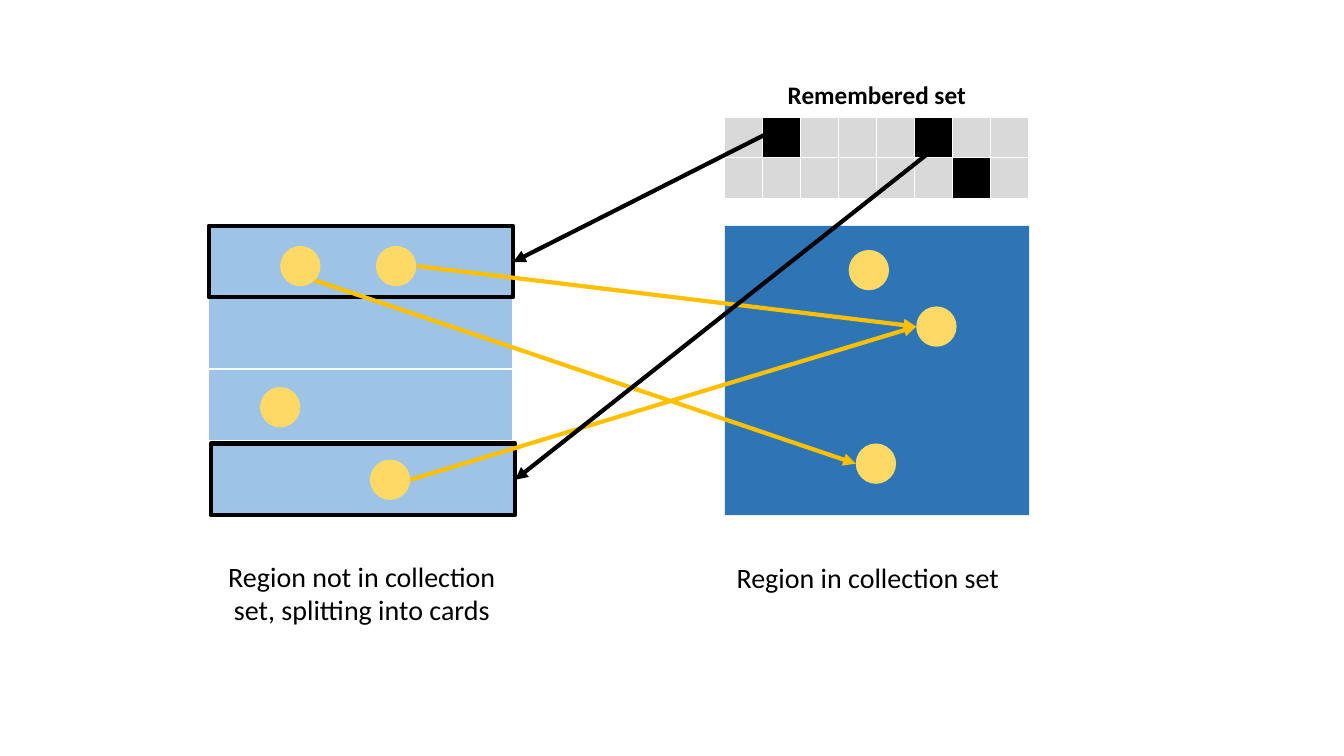
from typing import NamedTuple, Optional

from lxml import etree
from pptx import Presentation
from pptx import util as u
from pptx.dml.color import RGBColor
from pptx.enum import shapes, text
from pptx.oxml import ns

Pt = u.Pt
BLACK = RGBColor(0x00, 0x00, 0x00)
WHITE = RGBColor(0xFF, 0xFF, 0xFF)
GREY = RGBColor(0xD9, 0xD9, 0xD9)
REGION_BLUE = RGBColor(0x2E, 0x75, 0xB6)
CARD_BLUE = RGBColor(0x9D, 0xC3, 0xE6)
OBJECT_YELLOW = RGBColor(0xFF, 0xD9, 0x66)
REFERENCE_GOLD = RGBColor(0xFF, 0xC0, 0x00)

RECT = shapes.MSO_SHAPE.RECTANGLE
OVAL = shapes.MSO_SHAPE.OVAL
REGION_W, REGION_TOP, REGION_LEFT = 217.44, 161.28, 517.68
CARD_LEFT, CARD_H = 149.04, 51.12
OBJECT_D = 28.8
SET_COLS, SET_ROWS, SET_ROW_H = 8, 3, 26
MARKED = {(1, 1), (1, 5), (2, 6)}


class Block(NamedTuple):
    left: float
    top: float
    width: float
    height: float
    fill: RGBColor
    line: Optional[RGBColor] = None
    weight: float = 1
    kind: int = RECT


class Arrow(NamedTuple):
    x1: float
    y1: float
    x2: float
    y2: float
    color: RGBColor


class Caption(NamedTuple):
    left: float
    top: float
    height: float
    words: str


def card(row: int, line: RGBColor, weight: float) -> Block:
    return Block(CARD_LEFT, REGION_TOP + row * CARD_H, REGION_W, CARD_H, CARD_BLUE, line, weight)


def heap_object(left: float, top: float) -> Block:
    return Block(left, top, OBJECT_D, OBJECT_D, OBJECT_YELLOW, kind=OVAL)


REGIONS = [
    Block(REGION_LEFT, REGION_TOP, REGION_W, 206.64, REGION_BLUE),
    card(1, WHITE, 1),
    card(0, BLACK, 3),
    card(2, WHITE, 1),
]
LAST_CARD = Block(150.48, 316.8, REGION_W, CARD_H, CARD_BLUE, BLACK, 3)
OBJECTS = [
    heap_object(654.48, 218.88),
    heap_object(611.28, 316.8),
    heap_object(606.24, 178.56),
    heap_object(185.76, 276.48),
    heap_object(264.24, 328.32),
]
FIRST_CARD_OBJECTS = [heap_object(200.16, 175.68), heap_object(268.56, 175.68)]
ARROWS = [
    Arrow(293.04, 342.72, 654.48, 233.28, REFERENCE_GOLD),
    Arrow(224.64, 200.16, 611.28, 331.2, REFERENCE_GOLD),
    Arrow(298.08, 190.08, 654.48, 233.28, REFERENCE_GOLD),
    Arrow(555.84, 91.44, 366.48, 187.2, BLACK),
    Arrow(673.2, 101.52, 367.92, 342.72, BLACK),
]
CAPTIONS = [
    Caption(150.48, 396, 55.44, "Region not in collection set, splitting into cards"),
    Caption(511.92, 396.72, 31.68, "Region in collection set"),
]


def write(tf, words: str, *, size: float, bold: bool = False) -> None:
    p = tf.paragraphs[0]
    p.alignment = text.PP_ALIGN.CENTER
    r = p.add_run()
    r.text = words
    r.font.name = "Calibri"
    r.font.size = Pt(size)
    r.font.bold = bold
    r.font.color.rgb = BLACK


def draw_blocks(s, blocks: list[Block]) -> None:
    for b in blocks:
        sp = s.shapes.add_shape(b.kind, Pt(b.left), Pt(b.top), Pt(b.width), Pt(b.height))
        sp.shadow.inherit = False
        sp.fill.solid()
        sp.fill.fore_color.rgb = b.fill
        if b.line is None:
            sp.line.fill.background()
        else:
            sp.line.color.rgb = b.line
            sp.line.width = Pt(b.weight)


def draw_arrow(s, a: Arrow) -> None:
    cx = s.shapes.add_connector(
        shapes.MSO_CONNECTOR.STRAIGHT, Pt(a.x1), Pt(a.y1), Pt(a.x2), Pt(a.y2))
    cx.line.color.rgb = a.color
    cx.line.width = Pt(3)
    etree.SubElement(cx.line._get_or_add_ln(), ns.qn("a:tailEnd"), type="triangle")
    etree.SubElement(cx._element.spPr, ns.qn("a:effectLst"))


def format_cell(cell, fill: RGBColor, bottom: float) -> None:
    tcPr = cell._tc.get_or_add_tcPr()
    for side, weight in (("L", 1), ("R", 1), ("T", 1), ("B", bottom)):
        ln = etree.SubElement(tcPr, ns.qn(f"a:ln{side}"), w=str(Pt(weight)))
        solid = etree.SubElement(ln, ns.qn("a:solidFill"))
        etree.SubElement(solid, ns.qn("a:srgbClr"), val=str(WHITE))
    cell.fill.solid()
    cell.fill.fore_color.rgb = fill


def draw_remembered_set(s) -> None:
    table = s.shapes.add_table(
        SET_ROWS, SET_COLS, Pt(REGION_LEFT), Pt(54), Pt(REGION_W), Pt(SET_ROWS * SET_ROW_H)).table
    table.first_row = table.horz_banding = False
    for col in table.columns:
        col.width = Pt(REGION_W / SET_COLS)
    for i, row in enumerate(table.rows):
        row.height = Pt(SET_ROW_H)
        for j, cell in enumerate(row.cells):
            fill = WHITE if i == 0 else BLACK if (i, j) in MARKED else GREY
            format_cell(cell, fill, 3 if i == 0 else 1)
    header = table.cell(0, 0)
    header.merge(table.cell(0, SET_COLS - 1))
    write(header.text_frame, "Remembered set", size=18, bold=True)


def draw_caption(s, c: Caption) -> None:
    tf = s.shapes.add_textbox(Pt(c.left), Pt(c.top), Pt(216), Pt(c.height)).text_frame
    tf.word_wrap = True
    tf.auto_size = text.MSO_AUTO_SIZE.SHAPE_TO_FIT_TEXT
    write(tf, c.words, size=20)


def main() -> None:
    prs = Presentation()
    prs.slide_width, prs.slide_height = Pt(960), Pt(540)
    s = prs.slides.add_slide(prs.slide_layouts[6])
    draw_blocks(s, REGIONS)
    draw_remembered_set(s)
    draw_blocks(s, [LAST_CARD, *OBJECTS])
    for a in ARROWS:
        draw_arrow(s, a)
    draw_blocks(s, FIRST_CARD_OBJECTS)
    for c in CAPTIONS:
        draw_caption(s, c)
    prs.save("out.pptx")


if __name__ == "__main__":
    main()
